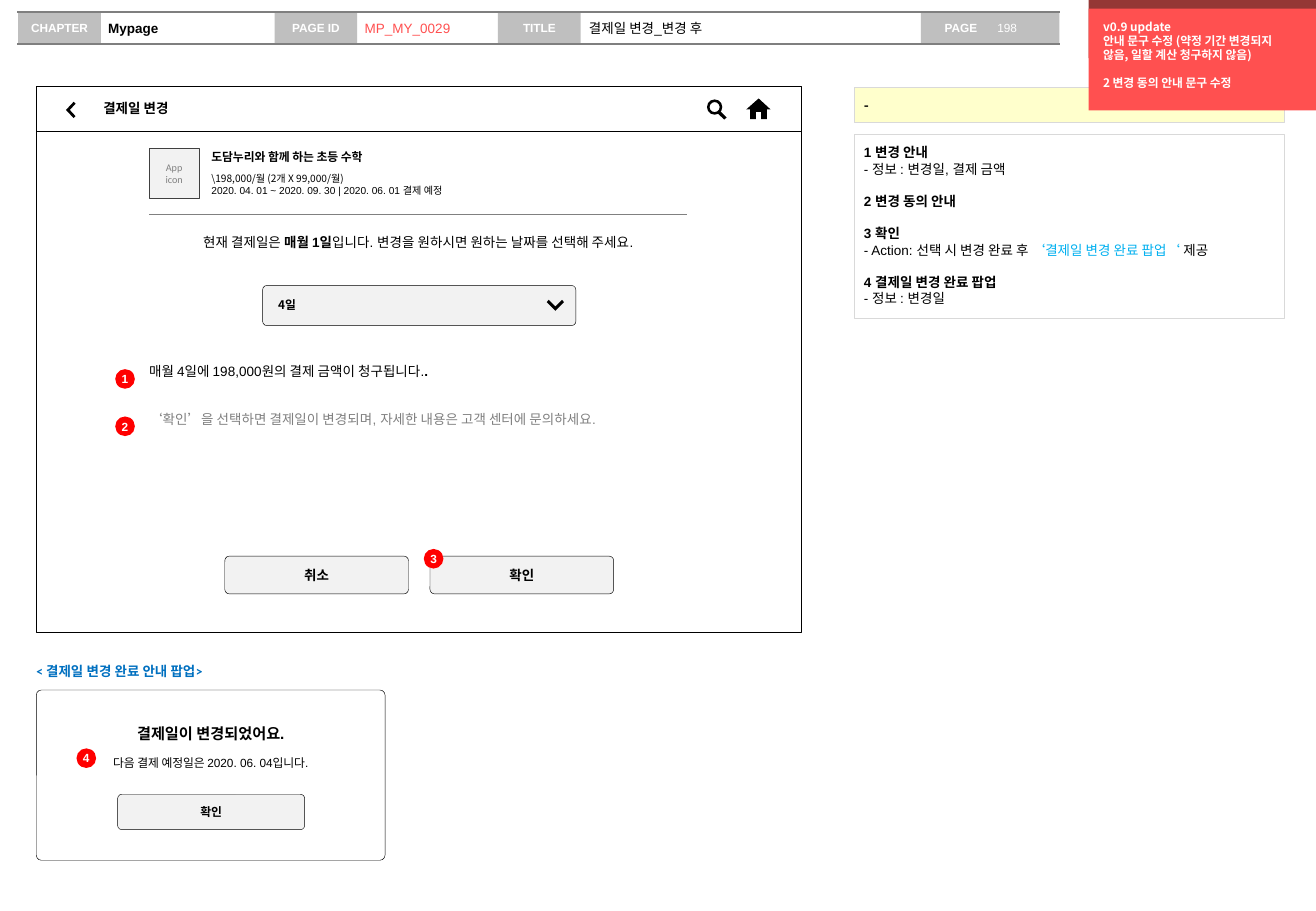
from dataclasses import dataclass

from lxml import etree
from pptx import Presentation
from pptx.dml.color import RGBColor
from pptx.enum import shapes as sh, text as tx
from pptx.oxml import ns
from pptx.util import Cm, Pt


@dataclass(frozen=True)
class Theme:
    black: str = "000000"
    white: str = "FFFFFF"
    label: str = "BFBFBF"
    rule: str = "7F7F7F"
    dim: str = "808080"
    frame: str = "404040"
    pale: str = "F2F2F2"
    edge: str = "D9D9D9"
    cream: str = "FFFFCC"
    coral: str = "FF5050"
    wine: str = "953735"
    red: str = "FF0000"
    link: str = "00B0F0"
    blue: str = "0070C0"
    tiny: int = 6
    small: int = 7
    base: int = 8
    large: int = 9
    latin: str = "Arial"
    sans: str = "Calibri"
    korean: str = "Noto Sans CJK KR"


T = Theme()
RECT = sh.MSO_SHAPE.RECTANGLE
ROUND = sh.MSO_SHAPE.ROUNDED_RECTANGLE
ALIGN = {"l": tx.PP_ALIGN.LEFT, "c": tx.PP_ALIGN.CENTER}
ANCHOR = {"t": tx.MSO_ANCHOR.TOP, "m": tx.MSO_ANCHOR.MIDDLE}


def write(shape, *paras, size=T.base, color=T.black, bold=False, font=T.latin,
          align="l", anchor="m", inset=(0, 0, 0, 0), gaps=()):
    """Fill a shape; a paragraph is a string or a list of strings and
    (string, format) runs. Paragraphs numbered in gaps get a line of space."""
    frame = shape.text_frame
    frame.auto_size = tx.MSO_AUTO_SIZE.NONE
    frame.word_wrap = True
    frame.vertical_anchor = ANCHOR[anchor]
    (frame.margin_left, frame.margin_top,
     frame.margin_right, frame.margin_bottom) = map(Cm, inset)
    pitch = Pt(round(size * 1.2, 1))
    for i, runs in enumerate(paras):
        para = frame.add_paragraph() if i else frame.paragraphs[0]
        if shape.is_placeholder:
            props = para._p.get_or_add_pPr()
            props.set("marL", "0")
            props.set("indent", "0")
            etree.SubElement(props, ns.qn("a:buNone"))
        para.alignment = ALIGN[align]
        para.line_spacing = pitch
        para.space_before = pitch if i in gaps else Pt(0)
        for part in [runs] if isinstance(runs, str) else runs:
            words, own = (part, {}) if isinstance(part, str) else part
            run = para.add_run()
            run.text = words
            look = {"color": color, "bold": bold, "font": font, **own}
            run.font.size = Pt(size)
            run.font.bold = look["bold"]
            run.font.name = look["font"]
            run.font.color.rgb = RGBColor.from_string(look["color"])
            asian = etree.SubElement(run._r.get_or_add_rPr(), ns.qn("a:ea"))
            asian.set("typeface", T.korean)


def paint(shape, fill=None, line=None, width=0.25):
    shape.shadow.inherit = False
    if fill:
        shape.fill.solid()
        shape.fill.fore_color.rgb = RGBColor.from_string(fill)
    else:
        shape.fill.background()
    if line:
        shape.line.color.rgb = RGBColor.from_string(line)
        shape.line.width = Pt(width)
    else:
        shape.line.fill.background()


def block(page, box, *paras, kind=RECT, fill=None, line=None, width=0.25,
          bend=None, **look):
    shape = page.shapes.add_shape(kind, *map(Cm, box))
    if bend is not None:
        shape.adjustments[0] = bend
    paint(shape, fill, line, width)
    if paras:
        write(shape, *paras, **look)


def label(page, box, *paras, **look):
    write(page.shapes.add_textbox(*map(Cm, box)), *paras, **look)


def rule(page, x, y, end, color, width):
    line = page.shapes.add_connector(
        sh.MSO_CONNECTOR.STRAIGHT, Cm(x), Cm(y), Cm(end), Cm(y))
    line.line.color.rgb = RGBColor.from_string(color)
    line.line.width = Pt(width)
    etree.SubElement(line._element.spPr, ns.qn("a:effectLst"))


def glyph(page, x, y, points):
    """Draw a black outline from points in hundredths of a centimetre."""
    pen = page.shapes.build_freeform(*points[0], scale=Cm(0.01))
    pen.add_line_segments(points[1:])
    paint(pen.convert_to_shape(Cm(x), Cm(y)), T.black)


def badge(page, x, y, mark):
    block(page, (x, y, 0.41, 0.41), mark, kind=sh.MSO_SHAPE.OVAL, fill=T.red,
          size=T.small, color=T.white, bold=True, align="c")


def button(page, box, words, size=T.base):
    block(page, box, words, kind=ROUND, bend=0.12, fill=T.pale, line=T.black,
          size=size, bold=True, font=T.korean, align="c")


def header(page, box):
    x, y, w, h = box
    head = dict(fill=T.label, size=T.small, color=T.white, bold=True)
    block(page, (x + 18.89, y, 2.9, h), "PAGE", inset=(0.5, 0, 0, 0), **head)
    label(page, (x + 20.39, y, 1.4, h), "198", size=T.small, color=T.white,
          inset=(0.1, 0, 0, 0))
    for dx, name in (0.02, "CHAPTER"), (5.38, "PAGE ID"), (10.05, "TITLE"):
        block(page, (x + dx, y, 1.73, h), name, align="c", **head)
    for edge in y, y + h:
        rule(page, x, edge, x + w, T.rule, 0.75)
    fields = ((1.75, 3.63, "Mypage", dict(bold=True)),
              (7.11, 2.95, "MP_MY_0029", dict(color=T.coral)),
              (11.8, 7.1, "결제일 변경_변경 후", {}))
    for slot, (dx, span, words, look) in zip(page.placeholders, fields):
        slot.left, slot.top, slot.width, slot.height = map(
            Cm, (x + dx, y, span, h))
        write(slot, words, inset=(0.15, 0, 0, 0), **look)


def screen(page, box):
    x, y, w, h = box
    block(page, box, line=T.black)
    block(page, (x, y, w, 0.94), "결제일 변경", fill=T.white, line=T.black,
          bold=True, font=T.korean, inset=(1.4, 0, 0, 0))
    glyph(page, x + 0.62, y + 0.33,
          [(20, 4), (16, 0), (0, 17), (16, 34), (20, 30), (8, 17)])
    block(page, (x + 14.02, y + 0.28, 0.32, 0.32), kind=sh.MSO_SHAPE.DONUT,
          bend=0.17, fill=T.black)
    glyph(page, x + 14.23, y + 0.51, [(5, 0), (20, 15), (15, 19), (0, 5)])
    glyph(page, x + 14.84, y + 0.26,
          [(20, 43), (20, 28), (31, 28), (31, 43), (43, 43), (43, 23),
           (51, 23), (26, 0), (0, 23), (8, 23), (8, 43)])

    left, span = x + 2.36, 11.25
    block(page, (left, y + 1.3, 1.04, 1.04), "App", "icon", fill=T.pale,
          line=T.frame, size=T.tiny, color=T.dim, font=T.sans, align="c")
    label(page, (x + 3.66, y + 1.33, 6, 0.3), "도담누리와 함께 하는 초등 수학",
          size=T.small, bold=True)
    label(page, (x + 3.66, y + 1.81, 6.7, 0.51),
          [("\\198,000/월 (2개 X 99,000/월)", dict(font=T.korean))],
          "2020. 04. 01 ~ 2020. 09. 30 | 2020. 06. 01 결제 예정", size=T.tiny)
    rule(page, left, y + 2.67, left + span, T.dim, 0.25)
    label(page, (left, y + 3.1, span, 0.33),
          ["현재 결제일은 ", ("매월 1일", dict(bold=True)),
           "입니다. 변경을 원하시면 원하는 날짜를 선택해 주세요."], align="c")
    block(page, (x + 4.73, y + 4.17, 6.55, 0.84), "4일", kind=ROUND,
          bend=0.11, fill=T.pale, line=T.black, size=T.small, bold=True,
          font=T.korean, inset=(0.3, 0, 0.25, 0.05))
    glyph(page, x + 10.67, y + 4.47,
          [(4, 0), (0, 5), (18, 23), (36, 5), (32, 0), (18, 14)])
    label(page, (left, y + 5.79, span, 0.33),
          ["매월 4일에 198,000원의 결제 금액이 청구됩니다.",
           (".", dict(bold=True))])
    label(page, (left, y + 6.79, span, 0.33),
          "‘확인’을 선택하면 결제일이 변경되며, 자세한 내용은 고객 센터에 문의하세요.",
          color=T.dim)
    for dx, words in (3.94, "취소"), (8.23, "확인"):
        button(page, (x + dx, y + 9.83, 3.84, 0.79), words)
    for dx, dy, mark in (1.65, 5.92, "1"), (1.65, 6.91, "2"), (8.1, 9.68, "3"):
        badge(page, x + dx, y + dy, mark)


def popup(page, box):
    x, y, w, h = box
    label(page, (x, y - 0.53, 6.27, 0.25), "< 결제일 변경 완료 안내 팝업>",
          color=T.blue, bold=True, font=T.sans)
    block(page, box, kind=ROUND, bend=0.03, fill=T.white, line=T.black)
    label(page, (x, y + 0.71, w, 0.38), "결제일이 변경되었어요.",
          size=T.large, bold=True, align="c")
    label(page, (x, y + 1.36, w, 0.33),
          "다음 결제 예정일은 2020. 06. 04입니다.", size=T.small, align="c")
    button(page, (x + 1.7, y + 2.18, 3.91, 0.74), "확인", T.small)
    badge(page, x + 0.84, y + 1.22, "4")


def notes(page, box):
    x, y, w, h = box
    look = dict(line=T.edge, width=0.75, anchor="t", inset=(0.2,) * 4)
    block(page, (x, y, w, 0.74), "-", fill=T.cream, bold=True,
          font=T.korean, **look)
    strong = dict(bold=True)
    block(page, (x, y + 0.99, w, h - 0.99),
          [("1 변경 안내", strong)],
          "- 정보 : 변경일, 결제 금액",
          [("2 변경 동의 안내", strong)],
          [("3 확인", strong)],
          ["- Action: 선택 시 변경 완료 후 ",
           ("‘결제일 변경 완료 팝업‘ ", dict(color=T.link, font=T.korean)),
           "제공"],
          [("4 결제일 변경 완료 팝업", strong)],
          "- 정보 : 변경일", gaps=(2, 3, 5), **look)


def update(page, box):
    x, y, w, h = box
    block(page, (x, y, w, 1.22), fill=T.wine)
    block(page, (x, y + 0.18, w, h - 0.18), "v0.9 update",
          "안내 문구 수정 (약정 기간 변경되지 않음, 일할 계산 청구하지 않음)",
          "2 변경 동의 안내 문구 수정", fill=T.coral, size=T.small,
          color=T.white, bold=True, font=T.korean, anchor="t",
          inset=(0.3, 0.23, 0.6, 0.13), gaps=(2,))


def main():
    deck = Presentation()
    deck.slide_width, deck.slide_height = Cm(27.51), Cm(19.05)
    page = deck.slides.add_slide(deck.slide_layouts[3])
    header(page, (0.36, 0.25, 21.79, 0.67))
    notes(page, (17.86, 1.83, 8.99, 4.83))
    screen(page, (0.76, 1.8, 16, 11.43))
    popup(page, (0.76, 14.43, 7.29, 3.56))
    update(page, (22.76, 0, 4.75, 2.31))
    deck.save("out.pptx")


if __name__ == "__main__":
    main()
